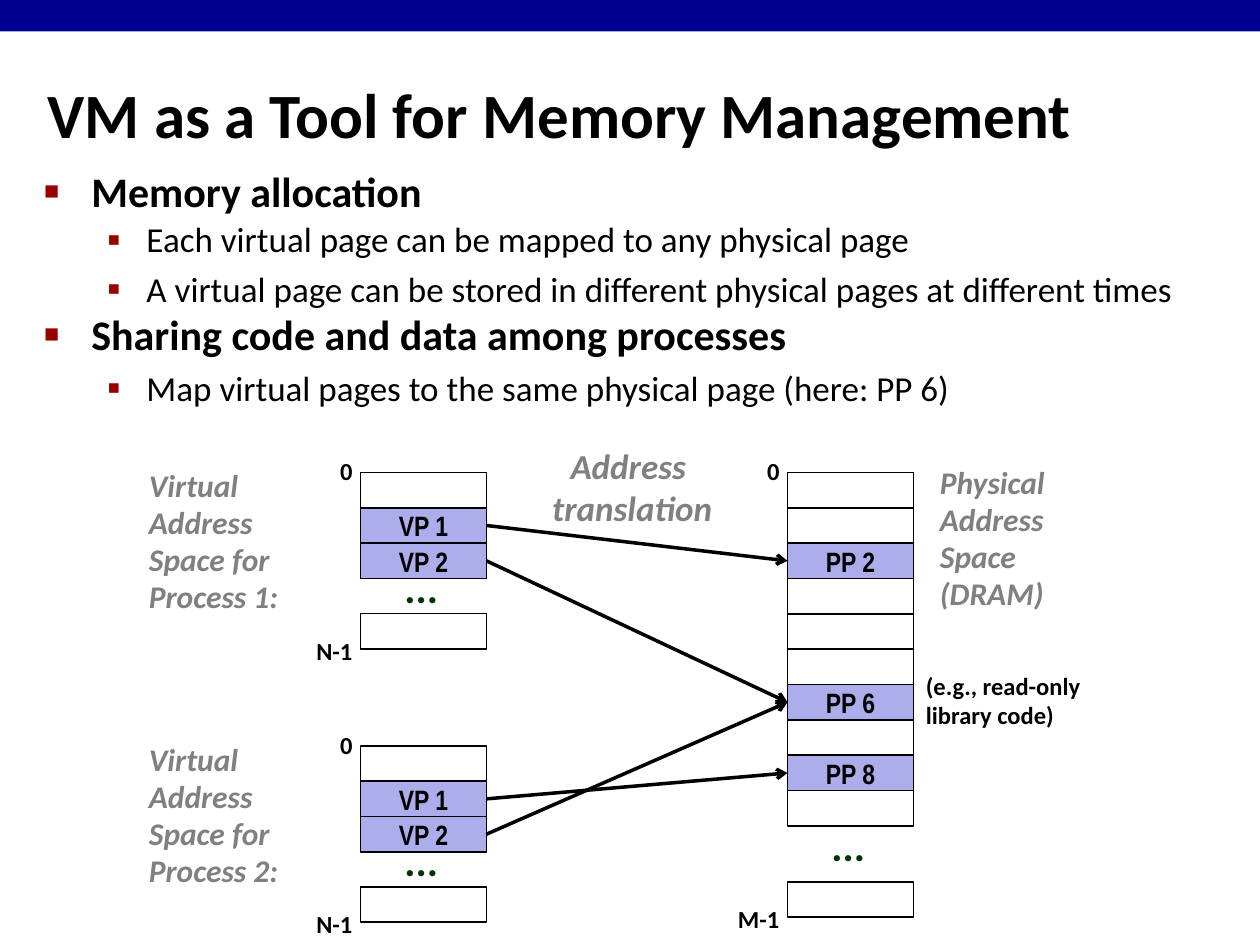
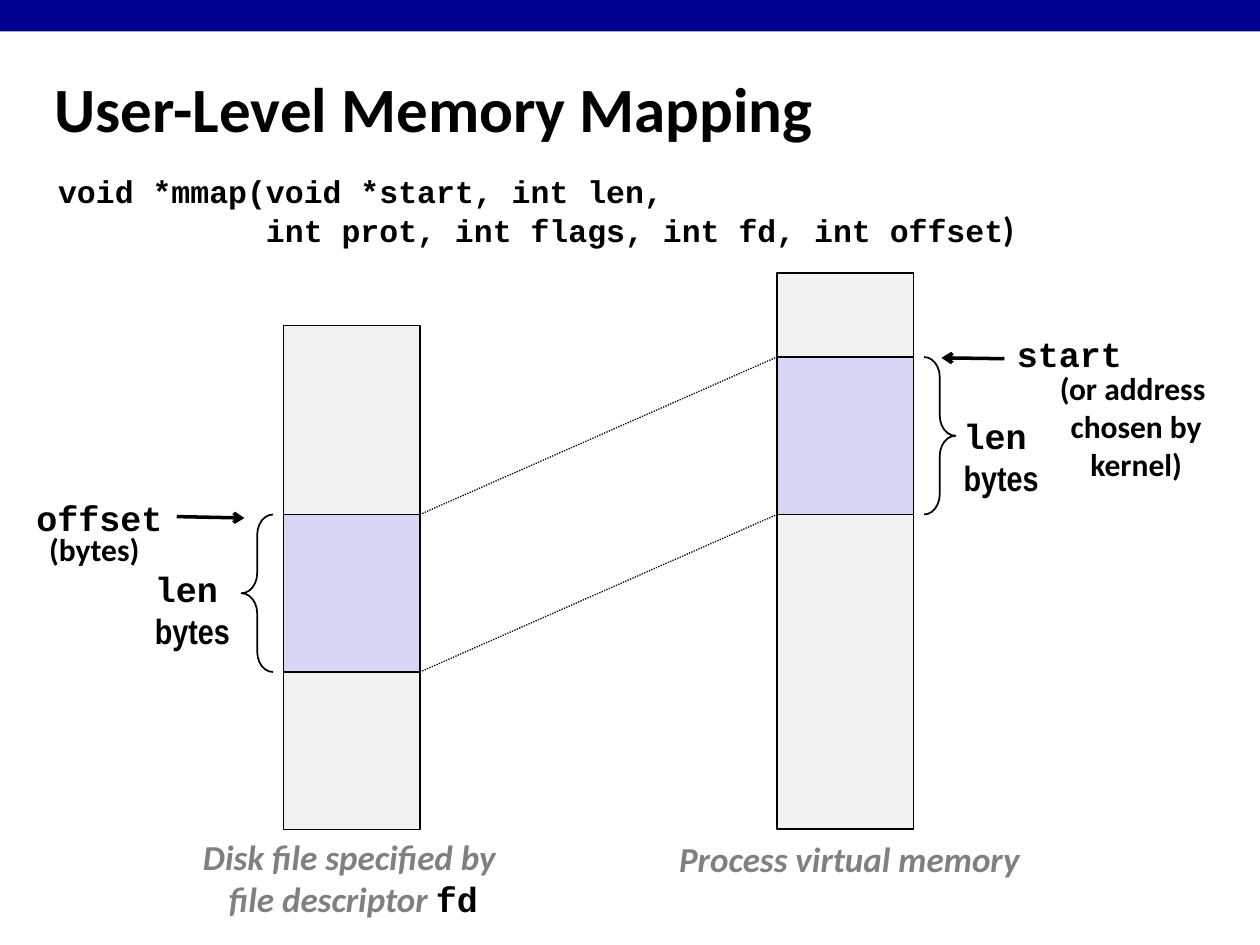
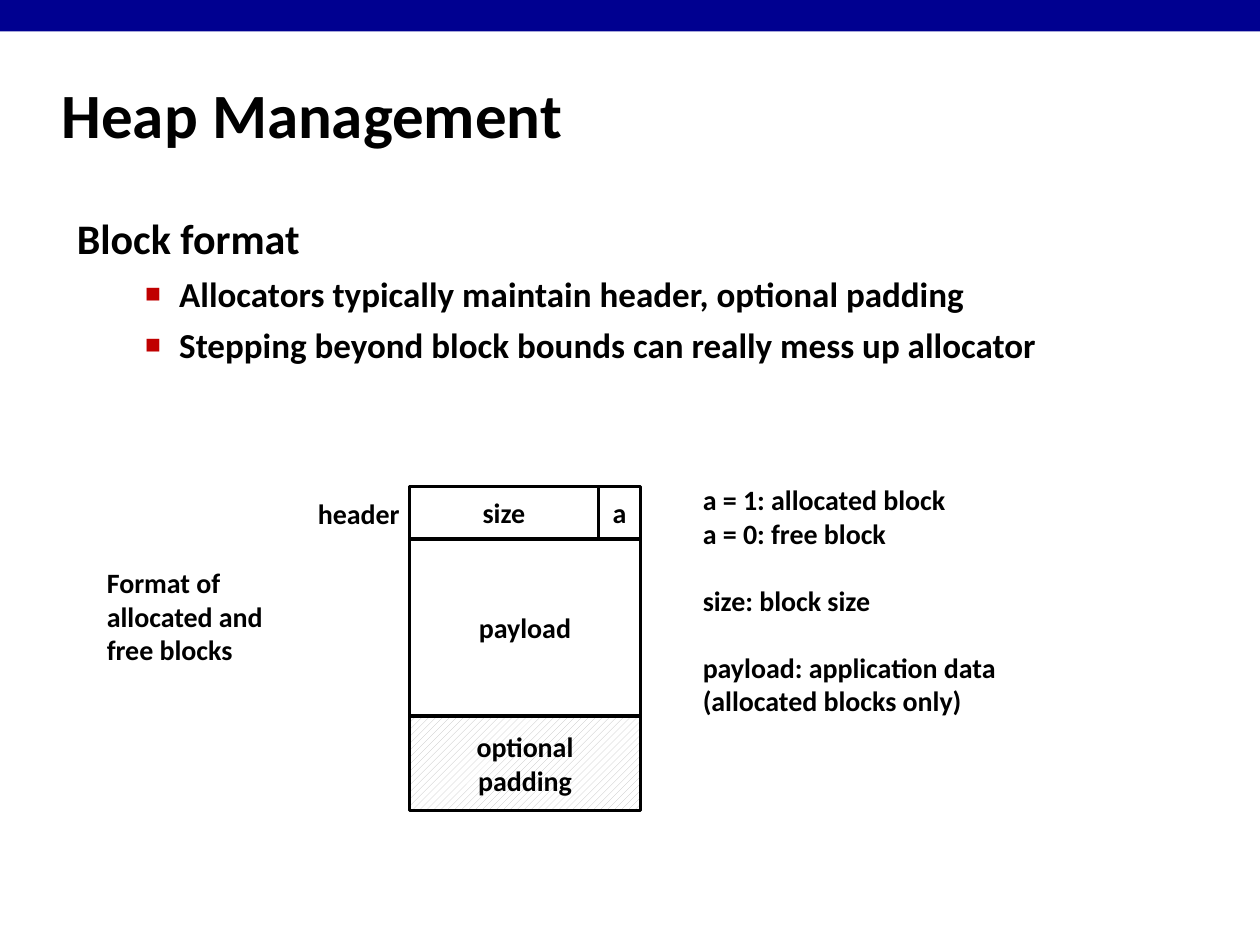
from dataclasses import dataclass, replace

from lxml import etree
from pptx import Presentation
from pptx.dml.color import RGBColor
from pptx.enum.dml import MSO_LINE, MSO_PATTERN
from pptx.enum.shapes import MSO_CONNECTOR, MSO_SHAPE
from pptx.enum.text import MSO_ANCHOR, MSO_AUTO_SIZE, PP_ALIGN
from pptx.oxml.ns import qn
from pptx.util import Pt

LEFT, CENTER, RIGHT = PP_ALIGN.LEFT, PP_ALIGN.CENTER, PP_ALIGN.RIGHT
MIDDLE, TOP = MSO_ANCHOR.MIDDLE, MSO_ANCHOR.TOP
FIT_SHAPE, NO_FIT = MSO_AUTO_SIZE.SHAPE_TO_FIT_TEXT, MSO_AUTO_SIZE.NONE
RECTANGLE = MSO_SHAPE.RECTANGLE
LEFT_BRACE, RIGHT_BRACE = MSO_SHAPE.LEFT_BRACE, MSO_SHAPE.RIGHT_BRACE
STRAIGHT = MSO_CONNECTOR.STRAIGHT
DOTTED = MSO_LINE.ROUND_DOT
HATCHED = MSO_PATTERN.WIDE_UPWARD_DIAGONAL
LEFT_SIDE, RIGHT_SIDE = 1, 3
TITLE_AND_BODY = 1

BLACK = RGBColor(0, 0, 0)
GRAY = RGBColor.from_string("808080")


@dataclass(frozen=True)
class TextStyle:
    size: float
    font: str = "Calibri"
    color: RGBColor = BLACK
    bold: bool = True
    italic: bool = False


@dataclass(frozen=True)
class Bullet:
    """Paragraph format of a list entry; without a mark it has no bullet."""
    level: int = 0
    margin: float = 0
    hanging: float = 0
    space_before: float = 0
    line_spacing: float = 1.0
    mark: str = ""
    color: str = ""
    percent: int = 100


@dataclass(frozen=True)
class Theme:
    band: RGBColor = RGBColor.from_string("000090")
    white: RGBColor = RGBColor.from_string("FFFFFF")
    page: RGBColor = RGBColor.from_string("ADADEB")
    memory: RGBColor = RGBColor.from_string("F2F2F2")
    mapped: RGBColor = RGBColor.from_string("D6D6F5")
    hatch: RGBColor = RGBColor.from_string("C0C0C0")
    title: TextStyle = TextStyle(36)
    topic: TextStyle = TextStyle(24)
    strong_point: TextStyle = TextStyle(20)
    point: TextStyle = TextStyle(20, bold=False)
    space_name: TextStyle = TextStyle(18, color=GRAY, italic=True)
    caption: TextStyle = TextStyle(20, color=GRAY, italic=True)
    address: TextStyle = TextStyle(14)
    page_name: TextStyle = TextStyle(16, "Arial Narrow")
    dots: TextStyle = TextStyle(24, color=RGBColor.from_string("003300"))
    signature: TextStyle = TextStyle(18, "Courier New")
    code: TextStyle = TextStyle(20, "Courier New")
    unit: TextStyle = TextStyle(20, "Arial Narrow")
    remark: TextStyle = TextStyle(18)
    block: TextStyle = TextStyle(16)


THEME = Theme()
TOPIC = Bullet(0, 27, -27, 4.8, 0.83, "■", "990000", 60)
POINT = Bullet(1, 58.5, -22.5, 4, 1.0, "▪", "990000", 110)
TIGHT_POINT = replace(POINT, line_spacing=0.88)
HEADING = Bullet(space_before=12, line_spacing=0.95)
RED_POINT = Bullet(1, 58.5, -19.5, 5, 1.0, "■", "C00000", 75)
CODE_LINE = Bullet(line_spacing=0.94)
CODE_CONTINUED = replace(CODE_LINE, margin=118.8)


def points(*lengths):
    return [Pt(length) for length in lengths]


def add_run(paragraph, text, style):
    run = paragraph.add_run()
    run.text = text
    font = run.font
    font.size, font.name = Pt(style.size), style.font
    font.bold, font.italic = style.bold, style.italic
    font.color.rgb = style.color


def write_lines(frame, lines, style, align=LEFT, line_spacing=None):
    """A line is a string in the given style, or a list of (text, style) runs."""
    for index, line in enumerate(lines):
        paragraph = frame.add_paragraph() if index else frame.paragraphs[0]
        paragraph.alignment = align
        if line_spacing:
            paragraph.line_spacing = line_spacing
        runs = [(line, style)] if isinstance(line, str) else line
        for text, run_style in runs:
            add_run(paragraph, text, run_style)


def add_label(slide, region, lines, style, align=LEFT, wrap=False,
              line_spacing=None):
    frame = slide.shapes.add_textbox(*points(*region)).text_frame
    frame.word_wrap = wrap
    frame.auto_size = FIT_SHAPE
    write_lines(frame, lines, style, align, line_spacing)
    return frame


def add_outlined(slide, region, fill=None, weight=1, kind=RECTANGLE):
    shape = slide.shapes.add_shape(kind, *points(*region))
    shape.shadow.inherit = False
    if fill is None:
        shape.fill.background()
    else:
        shape.fill.solid()
        shape.fill.fore_color.rgb = fill
    shape.line.color.rgb = BLACK
    shape.line.width = Pt(weight)
    return shape


def add_box_text(shape, lines, style, wrap=True):
    frame = shape.text_frame
    frame.word_wrap = wrap
    frame.vertical_anchor = MIDDLE
    write_lines(frame, lines, style, CENTER)


def add_line(slide, start=(0, 0), end=(0, 0), weight=2.0, arrow=True):
    line = slide.shapes.add_connector(STRAIGHT, *points(*start, *end))
    line.line.color.rgb = BLACK
    line.line.width = Pt(weight)
    properties = line.element.spPr
    if arrow:
        outline = properties.find(qn("a:ln"))
        etree.SubElement(outline, qn("a:tailEnd"), type="arrow")
    etree.SubElement(properties, qn("a:effectLst"))
    return line


def format_bullet(paragraph, bullet):
    paragraph.level = bullet.level
    paragraph.alignment = LEFT
    paragraph.line_spacing = bullet.line_spacing
    paragraph.space_before = Pt(bullet.space_before)
    properties = paragraph.element.pPr if hasattr(paragraph, "element") \
        else paragraph._p.pPr
    properties.set("marL", str(Pt(bullet.margin)))
    properties.set("indent", str(Pt(bullet.hanging)))
    if not bullet.mark:
        etree.SubElement(properties, qn("a:buNone"))
        return
    color = etree.SubElement(properties, qn("a:buClr"))
    etree.SubElement(color, qn("a:srgbClr"), val=bullet.color)
    etree.SubElement(properties, qn("a:buSzPct"), val=str(bullet.percent * 1000))
    etree.SubElement(properties, qn("a:buChar"), char=bullet.mark)


def place_placeholder(placeholder, region, anchor):
    (placeholder.left, placeholder.top,
     placeholder.width, placeholder.height) = points(*region)
    frame = placeholder.text_frame
    frame.word_wrap = True
    frame.auto_size = NO_FIT
    frame.vertical_anchor = anchor
    return frame


def add_titled_slide(deck, title, title_region, entries, body_region):
    """Each body entry is (bullet, [(text, style), ...])."""
    slide = deck.slides.add_slide(deck.slide_layouts[TITLE_AND_BODY])
    heading = place_placeholder(slide.shapes.title, title_region, MIDDLE)
    write_lines(heading, [title], THEME.title)
    body = place_placeholder(slide.placeholders[1], body_region, TOP)
    for index, (bullet, runs) in enumerate(entries):
        paragraph = body.add_paragraph() if index else body.paragraphs[0]
        format_bullet(paragraph, bullet)
        for text, style in runs:
            add_run(paragraph, text, style)
    return slide


def move_band_to_master(deck, slide):
    """Draw the top band once, on the master that all slides share."""
    band = slide.shapes.add_shape(RECTANGLE, 0, 0, deck.slide_width, Pt(18))
    band.shadow.inherit = False
    band.fill.solid()
    band.fill.fore_color.rgb = THEME.band
    band.line.fill.background()
    deck.slide_master.shapes.element.insert(2, band.element)


def draw_address_space(slide, left, top, cells, last_top, last_address):
    """Stack page cells, then dots and a last cell; return the named pages."""
    width, height, pitch = 72, 20.2, 20.2
    pages = {}
    tops = [top + index * pitch for index in range(len(cells))]
    for name, cell_top in zip(cells + [""], tops + [top + last_top]):
        cell = add_outlined(slide, (left, cell_top, width, height),
                            THEME.page if name else None)
        if name:
            add_box_text(cell, [name], THEME.page_name)
            pages[name] = cell
    gap_middle = top + (len(cells) * pitch + last_top) / 2
    dots = add_label(slide, (left + 18, gap_middle - 19.8, 34, 32.4), ["..."],
                     THEME.dots, line_spacing=0.88)
    dots.paragraphs[0].space_before = Pt(9)
    for address, address_top in (("0", top - 12),
                                 (last_address, top + last_top + 10)):
        add_label(slide, (left - 41.5, address_top, 44, 24), [address],
                  THEME.address, RIGHT, True, 0.98)
    return pages


def draw_address_translation(slide, left, top):
    process_left, physical_left = left + 128, left + 372
    process_pages = []
    for number, process_top in ((1, top), (2, top + 156.2)):
        add_label(slide, (left, process_top - 6, 108, 92),
                  [f"Virtual Address Space for Process {number}:"],
                  THEME.space_name, wrap=True, line_spacing=0.98)
        process_pages.append(draw_address_space(
            slide, process_left, process_top, ["", "VP 1", "VP 2"], 80.6, "N-1"))
    physical_cells = ["", "", "PP 2", "", "", "", "PP 6", "", "PP 8", ""]
    physical_pages = draw_address_space(
        slide, physical_left, top, physical_cells, 234, "M-1")
    add_label(slide, (left + 452, top - 8, 84, 93),
              ["Physical", "Address", "Space (DRAM)"],
              THEME.space_name, wrap=True, line_spacing=0.98)
    add_label(slide, (left + 444, top + 111, 114, 40),
              ["(e.g., read-only", "library code)"],
              THEME.address, wrap=True, line_spacing=0.98)
    add_label(slide, (left + 230, top - 19.5, 106.5, 55.5),
              ["Address ", "translation"], THEME.caption, CENTER)
    first, second = process_pages
    for virtual, physical in ((first["VP 1"], "PP 2"), (first["VP 2"], "PP 6"),
                              (second["VP 2"], "PP 6"), (second["VP 1"], "PP 8")):
        mapping = add_line(slide)
        mapping.begin_connect(virtual, RIGHT_SIDE)
        mapping.end_connect(physical_pages[physical], LEFT_SIDE)


def draw_memory(slide, left, top, height, mapped_top, mapped_height):
    width = 78
    add_outlined(slide, (left, top, width, height), THEME.memory)
    add_outlined(slide, (left, mapped_top, width, mapped_height), THEME.mapped)


def draw_length(slide, brace_kind, brace_left, top, height, label_left, label_top):
    """Brace the mapped bytes and name their length."""
    brace = add_outlined(slide, (brace_left, top, 18, height), kind=brace_kind)
    brace.adjustments[0] = 0.64
    add_label(slide, (label_left, label_top, 67, 55.5),
              [[("len ", THEME.code), ("bytes", THEME.unit)]], THEME.code, wrap=True)


def draw_file_mapping(slide, left, top, width, height):
    right = left + width
    file_right, memory_left = left + 78, right - 78
    file_mapped, memory_mapped, mapped_height = top + 138, top + 48, 90
    draw_memory(slide, left, top + 30, height - 30, file_mapped, mapped_height)
    draw_memory(slide, memory_left, top, height, memory_mapped, mapped_height)
    for offset in (0, mapped_height):
        edge = add_line(slide, (file_right, file_mapped + offset),
                        (memory_left, memory_mapped + offset), 0.75, False)
        edge.line.dash_style = DOTTED

    draw_length(slide, RIGHT_BRACE, right + 6, memory_mapped, mapped_height,
                right + 21.6, memory_mapped + 29.3)
    add_line(slide, (right + 52, memory_mapped + 1), (right + 16, memory_mapped + 0.5))
    add_label(slide, (right + 52, memory_mapped - 17.5, 75, 31.5),
              ["start"], THEME.code)
    add_label(slide, (right + 56, memory_mapped + 3.4, 142.5, 73),
              ["(or address ", "chosen by kernel)"], THEME.remark, CENTER, True)
    add_label(slide, (memory_left - 63, top + height + 1, 210, 31.5),
              ["Process virtual memory"], THEME.caption)

    draw_length(slide, LEFT_BRACE, left - 24, file_mapped, mapped_height,
                left - 80.6, file_mapped + 27)
    add_line(slide, (left - 61, file_mapped + 1.2), (left - 22.3, file_mapped + 2))
    add_label(slide, (left - 148.3, file_mapped - 14, 87, 31.5),
              ["offset"], THEME.code)
    add_label(slide, (left - 141, file_mapped + 5.5, 66, 29), ["(bytes)"],
              THEME.remark)
    add_label(slide, (left - 54, top + height, 188, 55.5),
              ["Disk file specified by ",
               [("file descriptor ", THEME.caption), ("fd", THEME.code)]],
              THEME.caption, CENTER)


def draw_block_format(slide, left, top):
    width, size_width, header_height = 132, 108, 30
    payload_top, padding_top = top + header_height, top + 131.3
    parts = (
        (["size"], (left, top, size_width, header_height)),
        (["payload"], (left, payload_top, width, 101.3)),
        (["a"], (left + size_width, top, width - size_width, header_height)),
        (["optional", "padding"], (left, padding_top, width, 54)),
    )
    for lines, region in parts:
        part = add_outlined(slide, region, THEME.white, 2)
        add_box_text(part, lines, THEME.block, wrap=False)
    padding_fill = part.fill
    padding_fill.patterned()
    padding_fill.pattern = HATCHED
    padding_fill.fore_color.rgb = THEME.hatch
    padding_fill.back_color.rgb = THEME.white

    add_label(slide, (left - 60.5, top + 2, 62, 26.6), ["header"],
              THEME.block, RIGHT)
    add_label(slide, (left - 180, top + 41.7, 105, 65.5),
              ["Format of", "allocated and", "free blocks"], THEME.block)
    legend = add_label(slide, (left + 160.5, top - 5.8, 184.5, 162.7),
                       ["a = 1: allocated block", "a = 0: free block",
                        "size: block size", "payload: application data",
                        "(allocated blocks only)"], THEME.block)
    for group_start in (2, 3):
        legend.paragraphs[group_start].space_before = Pt(19.2)


def build_memory_management(deck):
    entries = [
        (TOPIC, [("Memory allocation", THEME.topic)]),
        (TIGHT_POINT, [("Each virtual page can be mapped to any physical page",
                        THEME.point)]),
        (POINT, [("A virtual page can be stored in different physical pages "
                  "at different times", THEME.point)]),
        (TOPIC, [("Sharing code and data among processes", THEME.topic)]),
        (POINT, [("Map virtual pages to the same physical page (here: PP 6)",
                  THEME.point)]),
    ]
    slide = add_titled_slide(deck, "VM as a Tool for Memory Management",
                             (20, 42, 678, 45), entries, (18, 96, 690, 150))
    move_band_to_master(deck, slide)
    draw_address_translation(slide, 78, 270)


def build_memory_mapping(deck):
    entries = [
        (CODE_LINE, [("void *mmap(void *start, int len,", THEME.signature)]),
        (CODE_CONTINUED, [("int prot, int flags, int fd, int offset",
                           THEME.signature), (")", THEME.strong_point)]),
    ]
    slide = add_titled_slide(deck, "User-Level Memory Mapping",
                             (24, 39, 572, 45), entries, (26, 96.5, 654, 65.5))
    draw_file_mapping(slide, 162, 156, 360, 318)


def build_heap_management(deck):
    entries = [
        (HEADING, [("Block format", THEME.topic)]),
        (RED_POINT, [("Allocators typically maintain header, optional padding",
                      THEME.strong_point)]),
        (RED_POINT, [("Stepping beyond block bounds can really mess up allocator",
                      THEME.strong_point)]),
    ]
    slide = add_titled_slide(deck, "Heap Management",
                             (28, 34.5, 598, 60), entries, (36.7, 120, 650, 168))
    draw_block_format(slide, 234, 278)


def main():
    deck = Presentation()
    deck.slide_width, deck.slide_height = points(720, 540)
    build_memory_management(deck)
    build_memory_mapping(deck)
    build_heap_management(deck)
    deck.save("out.pptx")


if __name__ == "__main__":
    main()
